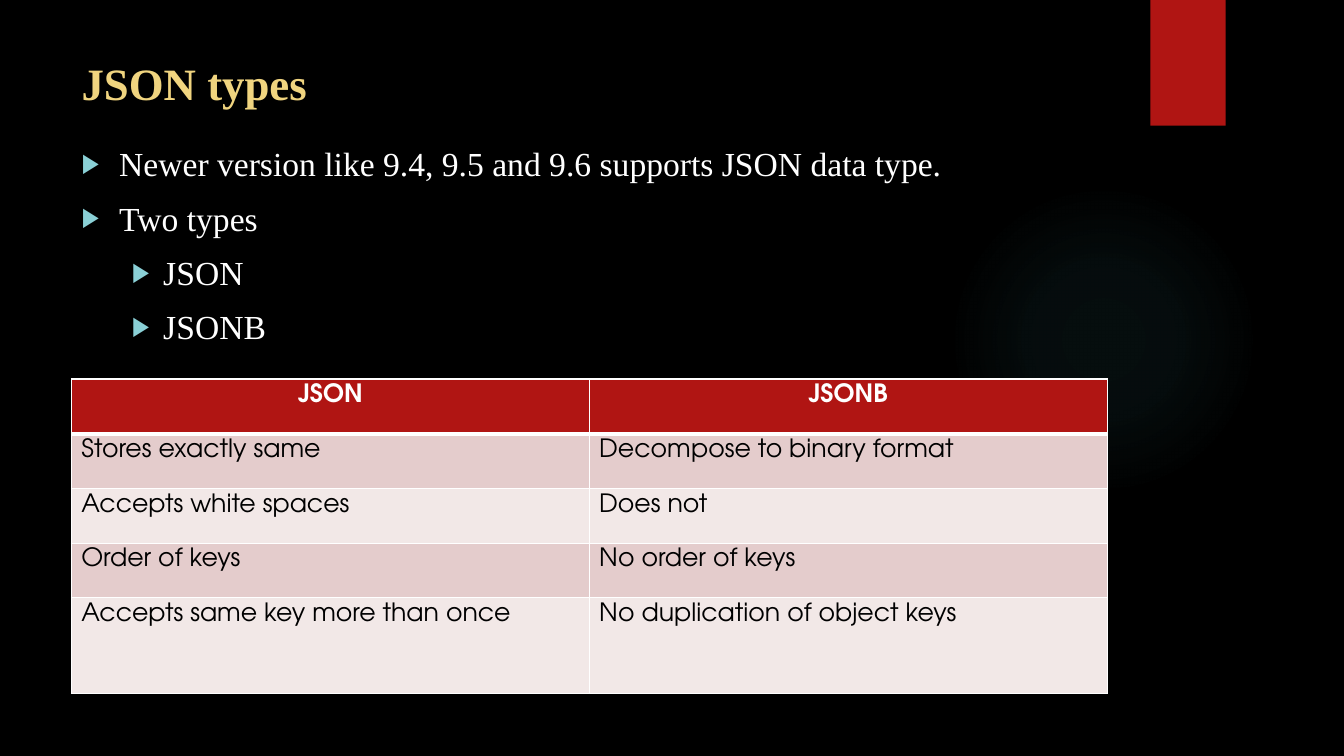
from dataclasses import dataclass
from typing import NamedTuple

from lxml.etree import SubElement
from pptx import Presentation
from pptx.dml.color import RGBColor
from pptx.enum.shapes import MSO_SHAPE
from pptx.enum.text import MSO_ANCHOR, MSO_AUTO_SIZE, PP_ALIGN
from pptx.oxml import parse_xml
from pptx.oxml.ns import nsdecls, qn
from pptx.util import Cm, Pt


@dataclass(frozen=True)
class Theme:
    background: str = "000000"
    accent: str = "B01513"
    glow: str = "50B9C1"
    heading: str = "F0D47F"
    text: str = "FFFFFF"
    bullet: str = "8AD0D6"
    cell_text: str = "000000"
    bands: tuple = ("E4CCCC", "F2E8E7")
    rule: str = "FFFFFF"
    serif: str = "Times New Roman"
    sans: str = "TeX Gyre Adventor"
    title_size: int = 32
    list_size: int = 24
    table_size: int = 18


class Box(NamedTuple):
    left: float
    top: float
    width: float
    height: float

    def lengths(self):
        return [Cm(value) for value in self]


THEME = Theme()
TITLE = "JSON types"
POINTS = [
    (0, "Newer version like 9.4, 9.5 and 9.6 supports JSON data type."),
    (0, "Two types"),
    (1, "JSON"),
    (1, "JSONB"),
]
INDENTS = [(0.95, -0.95), (2.06, -0.79)]
COMPARISON = [
    ("JSON", "JSONB"),
    ("Stores exactly same", "Decompose to binary format"),
    ("Accepts white spaces", "Does not"),
    ("Order of keys", "No order of keys"),
    ("Accepts same key more than once", "No duplication of object keys"),
]
ROW_HEIGHT = 1.38
CELL_FORMAT = {
    "margin_left": Cm(0.25),
    "margin_right": Cm(0.25),
    "margin_top": Cm(0.13),
    "margin_bottom": Cm(0.13),
    "vertical_anchor": MSO_ANCHOR.TOP,
}
RULE, HEADER_RULE = 1, 3


def apply(target, formats):
    for name, value in formats.items():
        setattr(target, name, value)


def style_font(font, name, size, color, bold=False):
    apply(font, {"name": name, "size": Pt(size), "bold": bold})
    font.color.rgb = RGBColor.from_string(color)


def add_glow(slide, box):
    """Place a soft radial light behind everything else."""
    glow = slide.shapes.add_shape(MSO_SHAPE.OVAL, *box.lengths())
    glow.shadow.inherit = False
    glow.line.fill.background()
    stops = "".join(
        f'<a:gs pos="{position * 1000}"><a:srgbClr val="{THEME.glow}">'
        f'<a:alpha val="{alpha * 1000}"/></a:srgbClr></a:gs>'
        for position, alpha in [(0, 7), (36, 6), (69, 0), (100, 0)]
    )
    gradient = parse_xml(
        f'<a:gradFill {nsdecls("a")}><a:gsLst>{stops}</a:gsLst><a:path path="circle">'
        '<a:fillToRect l="50000" t="50000" r="50000" b="50000"/></a:path></a:gradFill>'
    )
    glow.element.spPr.find(qn("a:prstGeom")).addnext(gradient)
    glow.element.getparent().insert(2, glow.element)


def add_ribbon(slide, box):
    ribbon = slide.shapes.add_shape(MSO_SHAPE.RECTANGLE, *box.lengths())
    ribbon.shadow.inherit = False
    ribbon.fill.solid()
    ribbon.fill.fore_color.rgb = RGBColor.from_string(THEME.accent)
    ribbon.line.fill.background()


def place(placeholder, box):
    """Move a placeholder into the box and return its text frame."""
    apply(placeholder, dict(zip(("left", "top", "width", "height"), box.lengths())))
    frame = placeholder.text_frame
    apply(frame, {"word_wrap": True, "auto_size": MSO_AUTO_SIZE.NONE,
                  "vertical_anchor": MSO_ANCHOR.TOP})
    return frame


def fill_title(slide, box):
    heading = place(slide.shapes.title, box).paragraphs[0]
    heading.alignment = PP_ALIGN.LEFT
    run = heading.add_run()
    run.text = TITLE
    style_font(run.font, THEME.serif, THEME.title_size, THEME.heading, True)


def add_bullet(paragraph, level):
    margin, indent = INDENTS[level]
    properties = paragraph._p.get_or_add_pPr()
    properties.set("marL", str(Cm(margin)))
    properties.set("indent", str(Cm(indent)))
    color = SubElement(properties, qn("a:buClr"))
    SubElement(color, qn("a:srgbClr"), val=THEME.bullet)
    SubElement(properties, qn("a:buSzPct"), val="80000")
    SubElement(properties, qn("a:buChar"), char="▶")


def fill_points(slide, box):
    frame = place(slide.placeholders[1], box)
    for index, (level, wording) in enumerate(POINTS):
        point = frame.add_paragraph() if index else frame.paragraphs[0]
        apply(point, {"level": level, "space_before": Pt(10), "alignment": PP_ALIGN.LEFT})
        add_bullet(point, level)
        run = point.add_run()
        run.text = wording
        style_font(run.font, THEME.serif, THEME.list_size, THEME.text)


def draw_borders(cell, widths):
    """Rule the left, right, top and bottom edges, in that order."""
    properties = cell._tc.get_or_add_tcPr()
    for position, (edge, width) in enumerate(zip("LRTB", widths)):
        properties.insert(position, parse_xml(
            f'<a:ln{edge} {nsdecls("a")} w="{Pt(width)}"><a:solidFill>'
            f'<a:srgbClr val="{THEME.rule}"/></a:solidFill></a:ln{edge}>'
        ))


def fill_cell(cell, wording, row):
    header = row == 0
    apply(cell, CELL_FORMAT)
    cell.fill.solid()
    fill = THEME.accent if header else THEME.bands[(row - 1) % 2]
    cell.fill.fore_color.rgb = RGBColor.from_string(fill)
    top = HEADER_RULE if row == 1 else RULE
    draw_borders(cell, (RULE, RULE, top, HEADER_RULE if header else RULE))
    paragraph = cell.text_frame.paragraphs[0]
    paragraph.alignment = PP_ALIGN.CENTER if header else PP_ALIGN.LEFT
    run = paragraph.add_run()
    run.text = wording
    color = THEME.text if header else THEME.cell_text
    style_font(run.font, THEME.sans, THEME.table_size, color, header)


def add_comparison(slide, box):
    rows, columns = len(COMPARISON), len(COMPARISON[0])
    table = slide.shapes.add_table(rows, columns, *box.lengths()).table
    for column in table.columns:
        column.width = Cm(box.width / columns)
    last = rows - 1
    for index, row in enumerate(table.rows):
        row.height = Cm(box.height - last * ROW_HEIGHT if index == last else ROW_HEIGHT)
        for cell, wording in zip(row.cells, COMPARISON[index]):
            fill_cell(cell, wording, index)


def build_slide(presentation):
    slide = presentation.slides.add_slide(presentation.slide_layouts[1])
    slide.background.fill.solid()
    slide.background.fill.fore_color.rgb = RGBColor.from_string(THEME.background)
    add_glow(slide, Box(23.9, 4.65, 7.82, 7.82))
    add_ribbon(slide, Box(28.99, 0, 1.9, 3.17))
    fill_title(slide, Box(1.8, 1.27, 26.14, 3.89))
    fill_points(slide, Box(1.8, 3.48, 26.39, 12.7))
    add_comparison(slide, Box(1.8, 9.55, 26.1, 7.92))


def main():
    presentation = Presentation()
    apply(presentation, {"slide_width": Cm(33.87), "slide_height": Cm(19.05)})
    build_slide(presentation)
    presentation.save("out.pptx")


if __name__ == "__main__":
    main()
